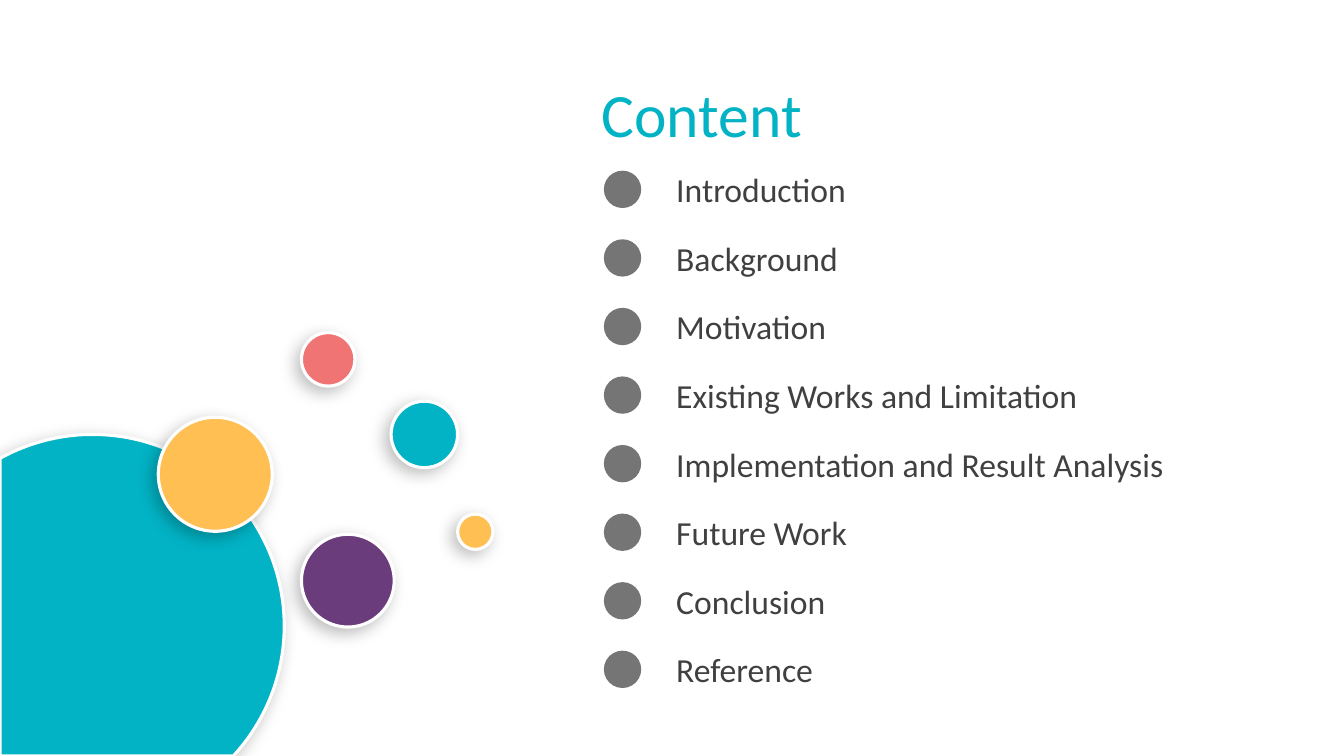
from math import acos, asin, cos, pi, sin

from lxml.etree import SubElement
from pptx import Presentation
from pptx.dml.color import RGBColor
from pptx.enum.shapes import MSO_SHAPE
from pptx.enum.text import MSO_AUTO_SIZE
from pptx.oxml.ns import qn
from pptx.util import Inches, Pt

W, H = Inches(13.333), Inches(7.5)
COLORS = {
    "teal": "02B3C5",
    "purple": "6A3C7C",
    "amber": "FFBF53",
    "coral": "F07474",
    "gray": "404040",
    "white": "FFFFFF",
    "black": "000000",
}
BUBBLES = [
    (22.43, 70.67, 6.9, "purple"),
    (29.1, 53.07, 4.95, "teal"),
    (11.78, 55.2, 8.48, "amber"),
    (22.43, 44, 3.98, "coral"),
    (34.05, 68, 2.63, "amber"),
]
TOPICS = [
    "Introduction",
    "Background",
    "Motivation",
    "Existing Works and Limitation",
    "Implementation and Result Analysis",
    "Future Work",
    "Conclusion",
    "Reference",
]
TOPIC_TOP, TOPIC_PITCH = 21.73, 9.07


def across(share):
    return round(W * share / 100)


def down(share):
    return round(H * share / 100)


def rgb(name):
    return RGBColor.from_string(COLORS[name])


def add_alpha(color, percent):
    SubElement(color, qn("a:alpha"), val=str(percent * 1000))


def paint(sp, color):
    sp.shadow.inherit = False
    sp.fill.solid()
    sp.fill.fore_color.rgb = rgb(color)
    sp.line.fill.background()


def raise_bubble(sp):
    sp.line.color.rgb = rgb("white")
    sp.line.width = Pt(2.25)
    effects = sp.element.spPr.find(qn("a:effectLst"))
    shadow = SubElement(effects, qn("a:outerShdw"), blurRad=str(Pt(12)),
                        dist=str(Pt(5)), dir=str(135 * 60000),
                        algn="tr", rotWithShape="0")
    add_alpha(SubElement(shadow, qn("a:srgbClr"), val=COLORS["black"]), 26)


def add_circle(slide, left, top, size, color):
    sp = slide.shapes.add_shape(MSO_SHAPE.OVAL, across(left), down(top),
                                across(size), across(size))
    paint(sp, color)
    return sp


def add_bubble(slide, left, top, size, color):
    raise_bubble(add_circle(slide, left, top, size, color))


def add_corner_disc(slide, center_x, center_y, radius, color, steps=120):
    cx, cy, r = across(center_x), down(center_y), across(radius)
    start, end = -acos(-cx / r), asin((H - cy) / r)
    if start < -pi or end <= start:
        return
    angles = [start + (end - start) * i / steps for i in range(steps + 1)]
    arc = [(round(cx + r * cos(a)), round(cy + r * sin(a))) for a in angles]
    builder = slide.shapes.build_freeform(0, H)
    builder.add_line_segments(arc, close=True)
    sp = builder.convert_to_shape()
    paint(sp, color)
    raise_bubble(sp)


def add_dot(slide, left, top, size):
    sp = add_circle(slide, left, top, size, "gray")
    add_alpha(sp.element.spPr.find(".//" + qn("a:srgbClr")), 72)


def add_text(slide, text, left, top, width, height, size=24, color="gray"):
    sp = slide.shapes.add_textbox(across(left), down(top), across(width), down(height))
    tf = sp.text_frame
    tf.word_wrap = True
    tf.auto_size = MSO_AUTO_SIZE.SHAPE_TO_FIT_TEXT
    r = tf.paragraphs[0].add_run()
    r.text = text
    r.font.name = "Calibri"
    r.font.size = Pt(size)
    r.font.color.rgb = rgb(color)


def main():
    """Build the content slide with its bubbles and topic list."""
    prs = Presentation()
    prs.slide_width, prs.slide_height = W, H
    slide = prs.slides.add_slide(prs.slide_layouts[6])
    add_corner_disc(slide, 6.9, 82.8, 14.25, "teal")
    for bubble in BUBBLES:
        add_bubble(slide, *bubble)
    add_text(slide, "Content", 44.03, 9.33, 28.28, 11.2, size=44, color="teal")
    for row, topic in enumerate(TOPICS):
        top = TOPIC_TOP + row * TOPIC_PITCH
        add_dot(slide, 44.93, top + 0.85, 2.78)
        add_text(slide, topic, 49.58, top, 48, 6.67)
    prs.save("out.pptx")


if __name__ == "__main__":
    main()
